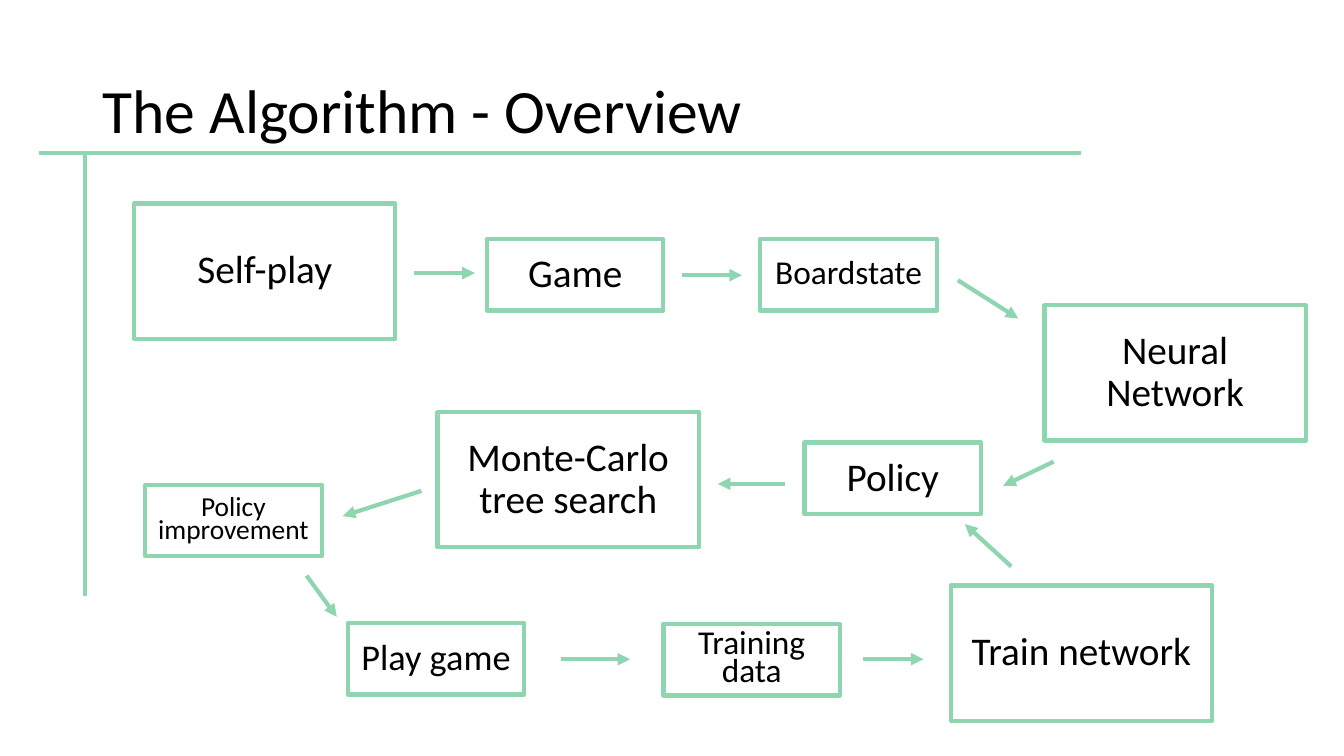
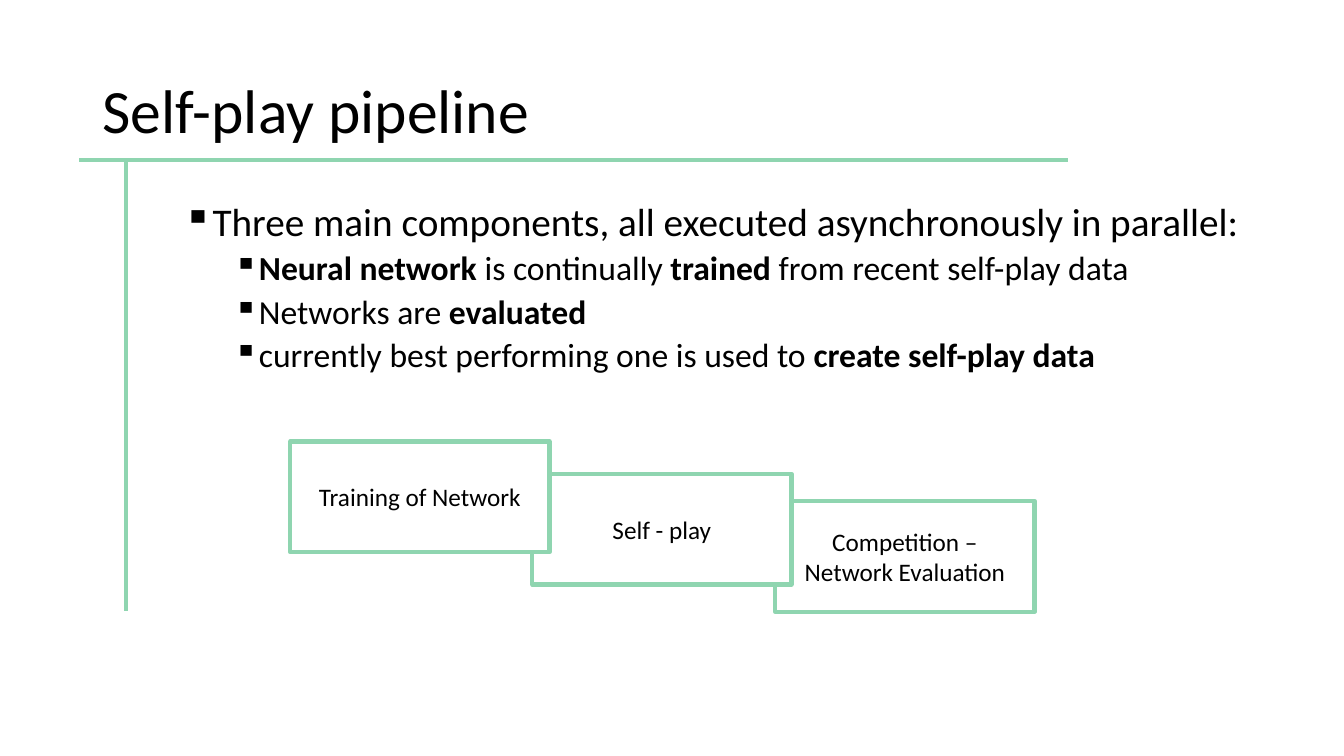
from dataclasses import dataclass

from lxml import etree
from pptx import Presentation
from pptx.dml.color import RGBColor
from pptx.enum.shapes import MSO_CONNECTOR, MSO_SHAPE
from pptx.enum.text import MSO_ANCHOR, PP_ALIGN
from pptx.oxml.ns import qn
from pptx.util import Inches, Pt

RECTANGLE = MSO_SHAPE.RECTANGLE
STRAIGHT = MSO_CONNECTOR.STRAIGHT
LEFT, CENTER = PP_ALIGN.LEFT, PP_ALIGN.CENTER
TOP, MIDDLE = MSO_ANCHOR.TOP, MSO_ANCHOR.MIDDLE


@dataclass(frozen=True)
class Theme:
    font: str = "Calibri"
    ink: RGBColor = RGBColor(0x00, 0x00, 0x00)
    paper: RGBColor = RGBColor(0xFF, 0xFF, 0xFF)
    accent: RGBColor = RGBColor(0x8F, 0xD5, 0xB0)
    stroke: float = 3
    title: float = 44
    body: float = 28
    sub: float = 24
    stage: float = 18
    spacing: float = 0.9


THEME = Theme()

# Box sizes: width, height
PROCESS = (2.59, 1.34)
ARTIFACT = (1.75, 0.71)
STAGE = (2.57, 1.1)

# Text, left, top, box size, type size, line spacing
ALGORITHM_STEPS = [
    ("Self-play", 1.33, 2.02, PROCESS, THEME.body, THEME.spacing),
    ("Game", 4.83, 2.37, ARTIFACT, THEME.body, THEME.spacing),
    ("Boardstate", 7.54, 2.37, ARTIFACT, 23.8, 0.8),
    ("Neural Network", 10.36, 3.03, PROCESS, THEME.body, THEME.spacing),
    ("Policy", 7.98, 4.39, ARTIFACT, THEME.body, THEME.spacing),
    ("Monte-Carlo tree search", 4.34, 4.09, PROCESS, THEME.body, THEME.spacing),
    ("Policy improvement", 1.44, 4.81, ARTIFACT, 19.6, 0.7),
    ("Play game", 3.45, 6.18, ARTIFACT, 25.9, THEME.spacing),
    ("Training data", 6.58, 6.19, ARTIFACT, 23.8, 0.7),
    ("Train network", 9.43, 5.81, PROCESS, THEME.body, THEME.spacing),
]

# Start and end of each arrow, in the order of the flow
FLOW_ARROWS = [
    ((4.11, 2.71), (4.71, 2.71)),
    ((6.76, 2.73), (7.36, 2.73)),
    ((9.5, 2.78), (10.1, 3.16)),
    ((10.45, 4.58), (9.95, 4.82)),
    ((7.79, 4.8), (7.12, 4.8)),
    ((4.18, 4.87), (3.4, 5.12)),
    ((3.04, 5.71), (3.34, 6.12)),
    ((5.56, 6.54), (6.25, 6.54)),
    ((8.56, 6.54), (9.16, 6.54)),
    ((10.03, 5.62), (9.57, 5.2)),
]

# Level, then runs as (text, bold)
PIPELINE_POINTS = [
    (0, [("Three main components, all executed asynchronously in parallel:", False)]),
    (1, [("Neural network ", True), ("is continually", False),
         (" trained ", True), ("from recent self-play data", False)]),
    (1, [("Networks are ", False), ("evaluated", True)]),
    (1, [("currently best performing one is used to ", False),
         ("create self-play data", True)]),
]

# Text, left, top; each stage overlaps the one after it
PIPELINE_STAGES = [
    ("Training of Network", 2.88, 4.38),
    ("Self - play", 5.28, 4.7),
    ("Competition – Network Evaluation", 7.69, 4.97),
]


def add_bullet(paragraph, level):
    properties = paragraph._p.get_or_add_pPr()
    properties.set("marL", str(Inches(0.25 + 0.5 * level)))
    properties.set("indent", str(Inches(-0.25)))
    etree.SubElement(properties, qn("a:buChar")).set("char", "▪")


def write_text(shape, content, *, sizes, align=LEFT, anchor=MIDDLE,
               spacing=THEME.spacing, bullets=False):
    """Fill a shape with one string or with (level, runs) paragraphs."""
    frame = shape.text_frame
    frame.word_wrap = True
    frame.vertical_anchor = anchor
    if isinstance(content, str):
        content = [(0, [(content, False)])]
    for index, (level, runs) in enumerate(content):
        paragraph = frame.add_paragraph() if index else frame.paragraphs[0]
        paragraph.level = level
        if bullets:
            add_bullet(paragraph, level)
        paragraph.alignment = align
        paragraph.line_spacing = spacing
        if index:
            paragraph.space_before = Pt(5 if level else 10)
        for words, bold in runs:
            run = paragraph.add_run()
            run.text = words
            run.font.name = THEME.font
            run.font.size = Pt(sizes[level])
            run.font.bold = bold
            run.font.color.rgb = THEME.ink


def add_text(slide, content, left, top, width, height, **text_format):
    box = slide.shapes.add_textbox(*map(Inches, (left, top, width, height)))
    write_text(box, content, **text_format)


def add_box(slide, label, left, top, size, **text_format):
    box = slide.shapes.add_shape(RECTANGLE, *map(Inches, (left, top, *size)))
    box.shadow.inherit = False
    box.fill.solid()
    box.fill.fore_color.rgb = THEME.paper
    box.line.color.rgb = THEME.accent
    box.line.width = Pt(THEME.stroke)
    write_text(box, label, align=CENTER, **text_format)


def add_line(slide, start, end, arrow=False):
    line = slide.shapes.add_connector(STRAIGHT, *map(Inches, (*start, *end)))
    line.line.color.rgb = THEME.accent
    line.line.width = Pt(THEME.stroke)
    if arrow:
        outline = line.line._get_or_add_ln()
        etree.SubElement(outline, qn("a:tailEnd")).set("type", "triangle")
    etree.SubElement(line._element.spPr, qn("a:effectLst"))


def add_titled_slide(deck, title, rule_left, rule_right, rule_top, stem_left, stem_bottom):
    """Add a slide with its title, the rule below it and the stem at the left."""
    slide = deck.slides.add_slide(deck.slide_layouts[6])
    add_text(slide, title, 0.92, 0.4, 11.5, 1.45, sizes=[THEME.title])
    add_line(slide, (rule_right, rule_top), (rule_left, rule_top))
    add_line(slide, (stem_left, stem_bottom), (stem_left, rule_top))
    return slide


def build_overview(deck):
    slide = add_titled_slide(deck, "The Algorithm - Overview",
                             rule_left=0.39, rule_right=10.72, rule_top=1.52,
                             stem_left=0.84, stem_bottom=5.91)
    for label, left, top, box_size, type_size, spacing in ALGORITHM_STEPS:
        add_box(slide, label, left, top, box_size, sizes=[type_size], spacing=spacing)
    for start, end in FLOW_ARROWS:
        add_line(slide, start, end, arrow=True)


def build_pipeline(deck):
    slide = add_titled_slide(deck, "Self-play pipeline",
                             rule_left=0.78, rule_right=10.59, rule_top=1.59,
                             stem_left=1.25, stem_bottom=6.06)
    add_text(slide, PIPELINE_POINTS, 1.72, 1.96, 10.77, 2.2,
             sizes=[THEME.body, THEME.sub], anchor=TOP, bullets=True)
    for label, left, top in reversed(PIPELINE_STAGES):
        add_box(slide, label, left, top, STAGE, sizes=[THEME.stage], spacing=1.0)


def main():
    deck = Presentation()
    deck.slide_width = Inches(13.33)
    deck.slide_height = Inches(7.5)
    build_overview(deck)
    build_pipeline(deck)
    deck.save("out.pptx")


if __name__ == "__main__":
    main()
